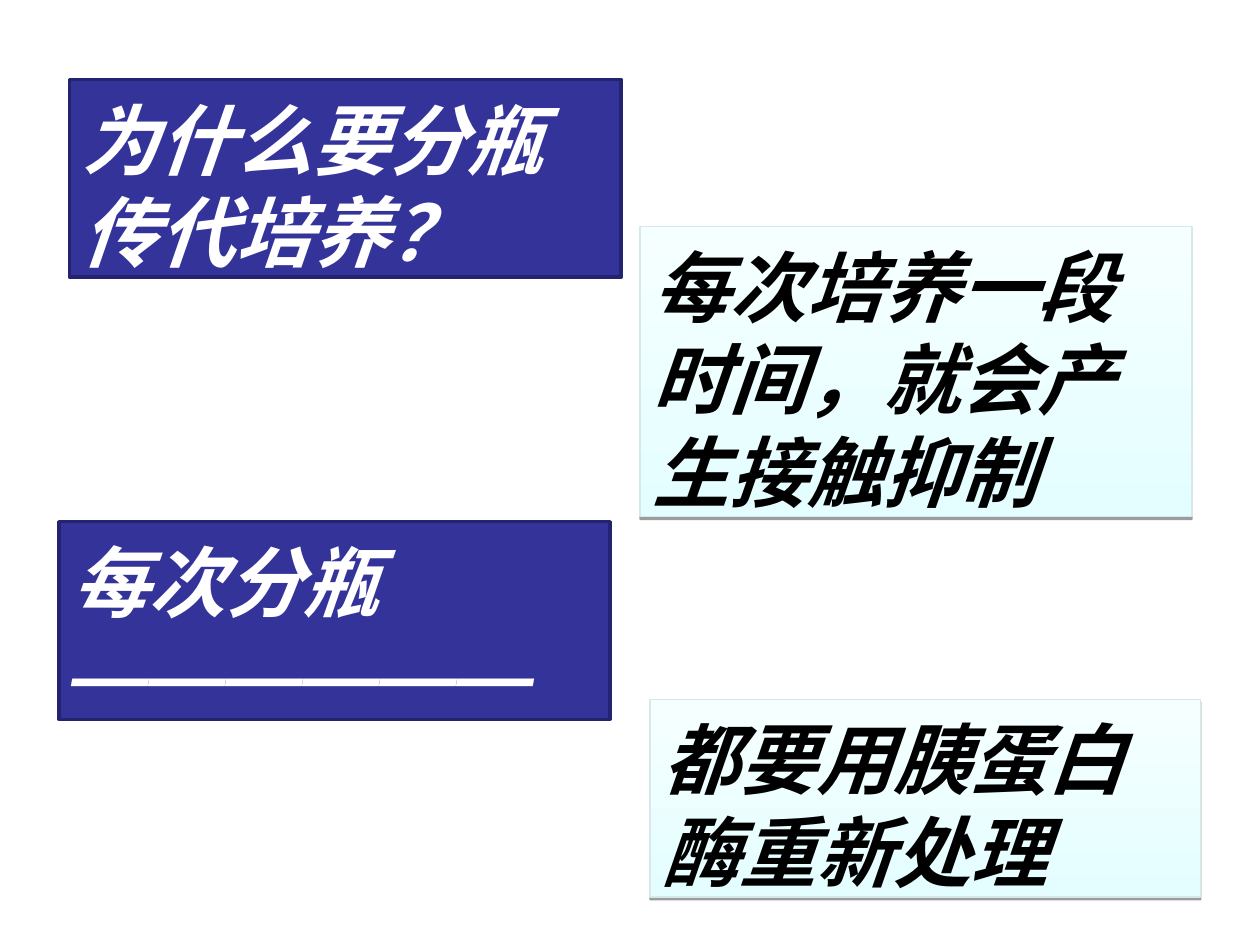
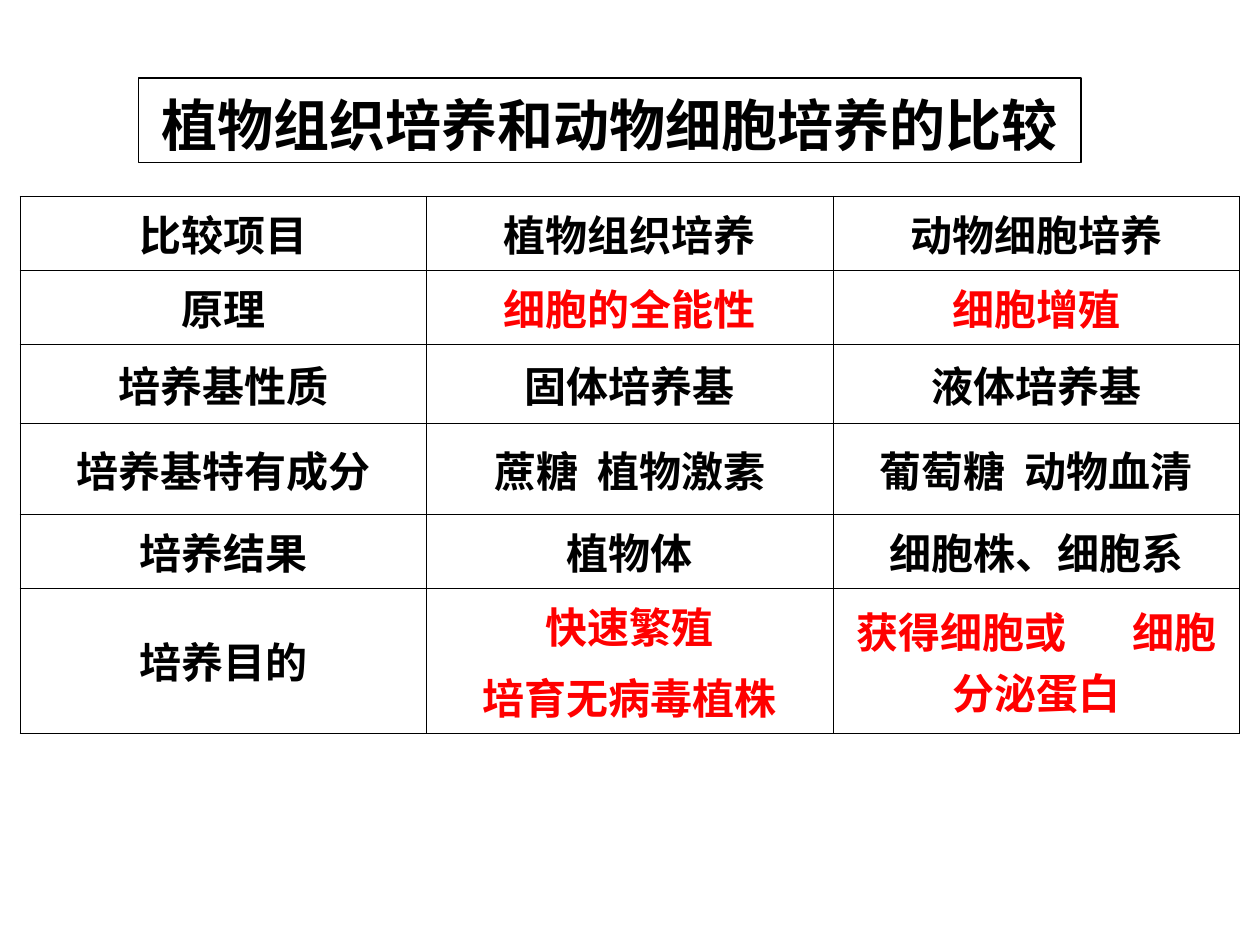
import dataclasses

import lxml.etree
import pptx
import pptx.dml.color
import pptx.enum.shapes
import pptx.enum.text
import pptx.oxml.ns
import pptx.util

Pt = pptx.util.Pt
qn = pptx.oxml.ns.qn
rgb = pptx.dml.color.RGBColor.from_string


@dataclasses.dataclass(frozen=True)
class Theme:
    navy: str = "333399"
    edge: str = "23236F"
    mist: str = "E4FEFF"
    pale: str = "F6FFFF"
    rim: str = "D5E8EA"
    white: str = "FFFFFF"
    black: str = "000000"
    red: str = "FF0000"
    latin: str = "Arial"
    han: str = "Noto Sans CJK SC"
    card: int = 44
    title: int = 32
    cell: int = 24
    lead: float = 1.2
    wide: float = 10
    high: float = 7.5


THEME = Theme()
SPACE = 0.224

CARDS = [
    ("ask", (5.5, 8.4, 43.8, 20.93), ["为什么要分瓶传代培养？"]),
    ("reply", (50.8, 24, 43.8, 30.67), ["每次培养一段时间，就会产生接触抑制"]),
    ("ask", (4.7, 55.2, 43.7, 20.93), ["每次分瓶", "——————"]),
    ("reply", (51.6, 74, 43.7, 20.93), ["都要用胰蛋白酶重新处理"]),
]

ROWS = [
    (7.73, "black", ["比较项目"], ["植物组织培养"], ["动物细胞培养"]),
    (7.87, "red", ["原理"], ["细胞的全能性"], ["细胞增殖"]),
    (8.4, "black", ["培养基性质"], ["固体培养基"], ["液体培养基"]),
    (9.6, "black", ["培养基特有成分"], [("蔗糖", 2, "植物激素")],
     [("葡萄糖", 2, "动物血清")]),
    (7.47, "black", ["培养结果"], ["植物体"], ["细胞株、细胞系"]),
    (14.53, "red", ["培养目的"], ["快速繁殖", "培育无病毒植株"],
     [("获得细胞或", 7, "细胞分泌蛋白")]),
]


def across(share):
    return pptx.util.Inches(THEME.wide * share / 100)


def down(share):
    return pptx.util.Inches(THEME.high * share / 100)


def place(spot):
    left, top, width, height = spot
    return across(left), down(top), across(width), down(height)


def node(home, tag, **attrs):
    return lxml.etree.SubElement(home, qn(tag), attrs)


def add_run(para, text, size, color, face, slant=False):
    run = para.add_run()
    run.text = text
    font = run.font
    font.name, font.size = face, Pt(size)
    font.bold, font.italic = True, slant
    font.color.rgb = rgb(color)
    node(run.font._element, "a:ea", typeface=THEME.han)
    return run


def add_gap(para, count, size, color, face):
    run = add_run(para, " ", size, color, face)
    extra = (count - 1) * SPACE * size * 100
    run.font._element.set("spc", str(round(extra)))


def get_para(frame, index):
    return frame.add_paragraph() if index else frame.paragraphs[0]


def add_box(slide, spot, lines, size, color, face, slant=False, align="LEFT"):
    kind = pptx.enum.shapes.MSO_SHAPE.RECTANGLE
    box = slide.shapes.add_shape(kind, *place(spot))
    box.shadow.inherit = False
    frame = box.text_frame
    frame.word_wrap = True
    frame.vertical_anchor = pptx.enum.text.MSO_ANCHOR.TOP
    frame.margin_top = pptx.util.Inches(0.1)
    frame.margin_bottom = 0
    for index, line in enumerate(lines):
        para = get_para(frame, index)
        para.alignment = pptx.enum.text.PP_ALIGN[align]
        para.line_spacing = Pt(size * THEME.lead)
        add_run(para, line, size, color, face, slant)
    return box


def set_line(box, color, width):
    box.line.color.rgb = rgb(color)
    box.line.width = Pt(width)


def set_fill(box, color):
    box.fill.solid()
    box.fill.fore_color.rgb = rgb(color)


def add_ask(slide, spot, lines):
    box = add_box(slide, spot, lines, THEME.card, THEME.white, THEME.latin, True)
    set_fill(box, THEME.navy)
    set_line(box, THEME.edge, 2)


def add_reply(slide, spot, lines):
    box = add_box(slide, spot, lines, THEME.card, THEME.black, THEME.han, True)
    box.fill.gradient()
    box.fill.gradient_angle = 90
    for stop, color in zip(box.fill.gradient_stops, (THEME.mist, THEME.pale)):
        stop.color.rgb = rgb(color)
    set_line(box, THEME.rim, 0.75)
    drop = node(box._element.spPr.find(qn("a:effectLst")), "a:outerShdw",
                blurRad="0", dist=str(Pt(1.6)), dir="5400000", rotWithShape="0")
    shade = node(drop, "a:srgbClr", val=THEME.black)
    node(shade, "a:alpha", val="38000")


def add_title(slide, spot, text):
    box = add_box(slide, spot, [text], THEME.title, THEME.black, THEME.latin,
                  align="CENTER")
    set_fill(box, THEME.white)
    set_line(box, THEME.black, 0.75)


def frame_cell(cell):
    props = cell._tc.get_or_add_tcPr()
    for side in "LRTB":
        line = node(props, "a:ln" + side, w=str(Pt(0.75)))
        node(node(line, "a:solidFill"), "a:srgbClr", val=THEME.black)
    cell.fill.background()


def fill_cell(cell, lines, color):
    cell.vertical_anchor = pptx.enum.text.MSO_ANCHOR.MIDDLE
    frame_cell(cell)
    style = THEME.cell, color, THEME.han
    for index, line in enumerate(lines):
        para = get_para(cell.text_frame, index)
        para.alignment = pptx.enum.text.PP_ALIGN.CENTER
        if index:
            para.space_before = Pt(6)
        for part in [line] if isinstance(line, str) else line:
            if isinstance(part, int):
                add_gap(para, part, *style)
            else:
                add_run(para, part, *style)


def add_grid(slide, left, top, width, rows):
    count = len(rows[0]) - 2
    spot = left, top, width, sum(row[0] for row in rows)
    table = slide.shapes.add_table(len(rows), count, *place(spot)).table
    table.first_row = table.horz_banding = False
    for column in table.columns:
        column.width = across(width / count)
    for r, (height, tone, *cells) in enumerate(rows):
        table.rows[r].height = down(height)
        for c, lines in enumerate(cells):
            color = getattr(THEME, tone) if c else THEME.black
            fill_cell(table.cell(r, c), lines, color)


def add_slide(deck):
    slide = deck.slides.add_slide(deck.slide_layouts[6])
    set_fill(slide.background, THEME.white)
    return slide


def main():
    deck = pptx.Presentation()
    deck.slide_width, deck.slide_height = across(100), down(100)

    slide = add_slide(deck)
    draw = {"ask": add_ask, "reply": add_reply}
    for kind, spot, lines in CARDS:
        draw[kind](slide, spot, lines)

    slide = add_slide(deck)
    add_title(slide, (11, 8.27, 74.8, 8.93), "植物组织培养和动物细胞培养的比较")
    add_grid(slide, 1.6, 20.8, 96.8, ROWS)

    deck.save("out.pptx")


if __name__ == "__main__":
    main()
